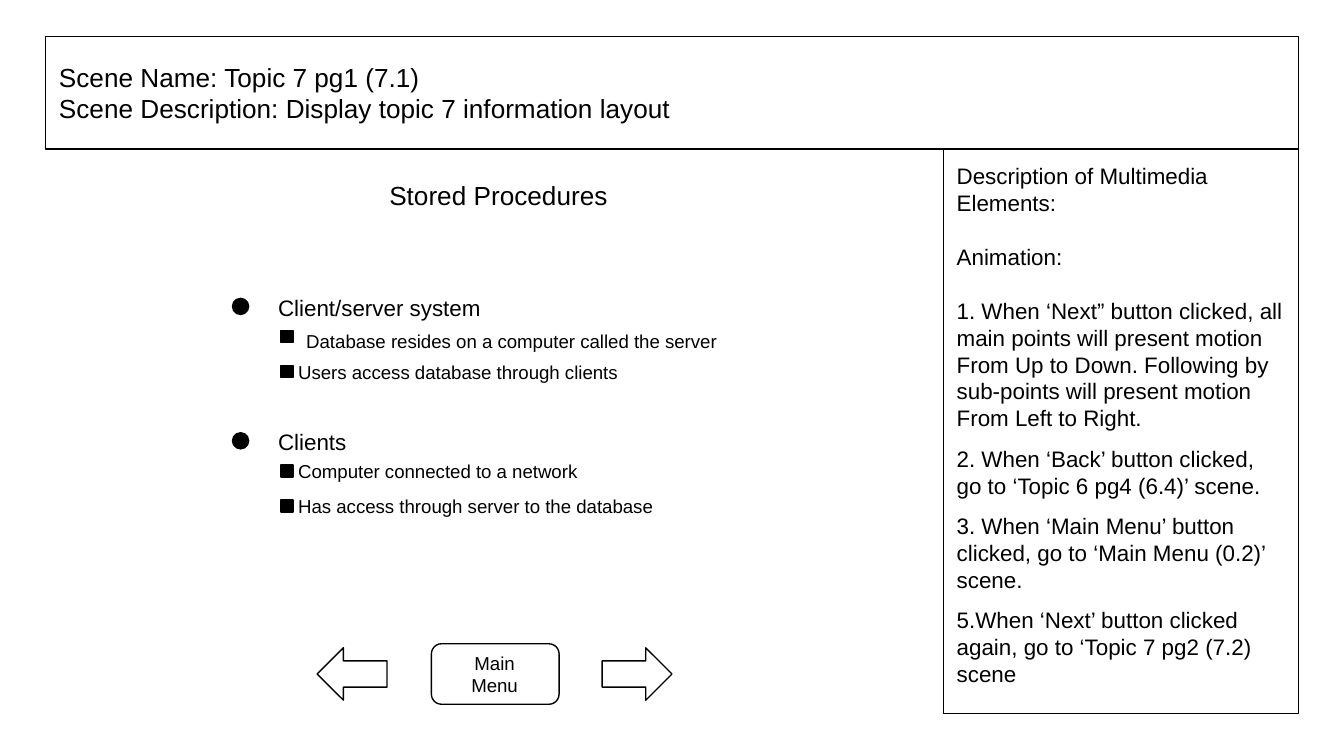
from pptx import Presentation
from pptx.dml.color import RGBColor
from pptx.enum.shapes import MSO_SHAPE as Geo
from pptx.enum.text import MSO_ANCHOR as Anchor, PP_ALIGN as Align
from pptx.util import Inches, Pt

INK = "000000"
SCENE = ["Scene Name: Topic 7 pg1 (7.1)",
         "Scene Description: Display topic 7 information layout"]
NOTES = [
    ("Description of Multimedia Elements:", 0),
    ("Animation:", 14.4),
    ("1. When ‘Next” button clicked, all main points will present motion "
     "From Up to Down. Following by sub-points will present motion "
     "From Left to Right.", 14.4),
    ("2. When ‘Back’ button clicked, go to ‘Topic 6 pg4 (6.4)’ scene.", 7.2),
    ("3. When ‘Main Menu’ button clicked, go to ‘Main Menu (0.2)’ scene.", 7.2),
    ("5.When ‘Next’ button clicked again, go to ‘Topic 7 pg2 (7.2) scene", 7.2),
]
TOPICS = [
    (2.11, "Client/server system", [
        (2.18, 2.42, "Database resides on a computer called the server"),
        (2.12, 2.65, "Users access database through clients")]),
    (3.11, "Clients", [
        (2.12, 3.39, "Computer connected to a network"),
        (2.12, 3.65, "Has access through server to the database")]),
]


def color(code):
    return RGBColor.from_string(code)


def style(item, **values):
    for name, value in values.items():
        setattr(item, name, value)


def edge(shape):
    shape.line.color.rgb = color(INK)
    shape.line.width = Pt(0.75)


def draw(slide, geo, box, fill=None, turn=0):
    shape = slide.shapes.add_shape(geo, *map(Inches, box))
    shape.shadow.inherit = False
    shape.rotation = turn
    if fill:
        shape.fill.solid()
        shape.fill.fore_color.rgb = color(fill)
    else:
        shape.fill.background()
    edge(shape)
    return shape


def write(slide, box, lines, size, align=Align.LEFT, anchor=Anchor.MIDDLE):
    label = slide.shapes.add_textbox(*map(Inches, box))
    frame = label.text_frame
    pad = Inches(0.1)
    style(frame, word_wrap=True, vertical_anchor=anchor, margin_left=pad,
          margin_right=pad, margin_top=pad, margin_bottom=pad)
    for i, (text, gap) in enumerate(lines):
        para = frame.add_paragraph() if i else frame.paragraphs[0]
        para.alignment = align
        if gap:
            para.space_before = Pt(gap)
        run = para.add_run()
        run.text = text
        style(run.font, name="Arial", size=Pt(size))
        run.font.color.rgb = color(INK)
    return label


def topic(slide, top, head, points):
    draw(slide, Geo.OVAL, (1.73, top + 0.11, 0.12, 0.12), INK)
    write(slide, (1.97, top, 3.51, 0.35), [(head, 0)], 12)
    for i, (left, y, text) in enumerate(points):
        mark = top + 0.35 + 0.26 * i
        draw(slide, Geo.RECTANGLE, (2.09, mark, 0.09, 0.09), INK)
        write(slide, (left, y, 3.51, 0.23), [(text, 0)], 10)


def buttons(slide):
    for left, turn in ((2.36, 180), (4.48, 0)):
        draw(slide, Geo.RIGHT_ARROW, (left, 4.82, 0.52, 0.39), turn=turn)
    draw(slide, Geo.ROUNDED_RECTANGLE, (3.21, 4.79, 0.95, 0.45))
    write(slide, (3.3, 4.88, 0.76, 0.27), [("Main Menu", 0)], 10, Align.CENTER)


def main():
    deck = Presentation()
    wide = Inches(10)
    style(deck, slide_width=wide, slide_height=wide * 9 // 16)
    slide = deck.slides.add_slide(deck.slide_layouts[6])
    edge(write(slide, (0.34, 0.27, 9.32, 0.84), [(s, 0) for s in SCENE], 14))
    edge(write(slide, (7.02, 1.11, 2.64, 4.2), NOTES, 12, anchor=Anchor.TOP))
    write(slide, (2.53, 1.23, 2.36, 0.45), [("Stored Procedures", 0)], 14,
          Align.CENTER)
    for top, head, points in TOPICS:
        topic(slide, top, head, points)
    buttons(slide)
    deck.save("out.pptx")


if __name__ == "__main__":
    main()
